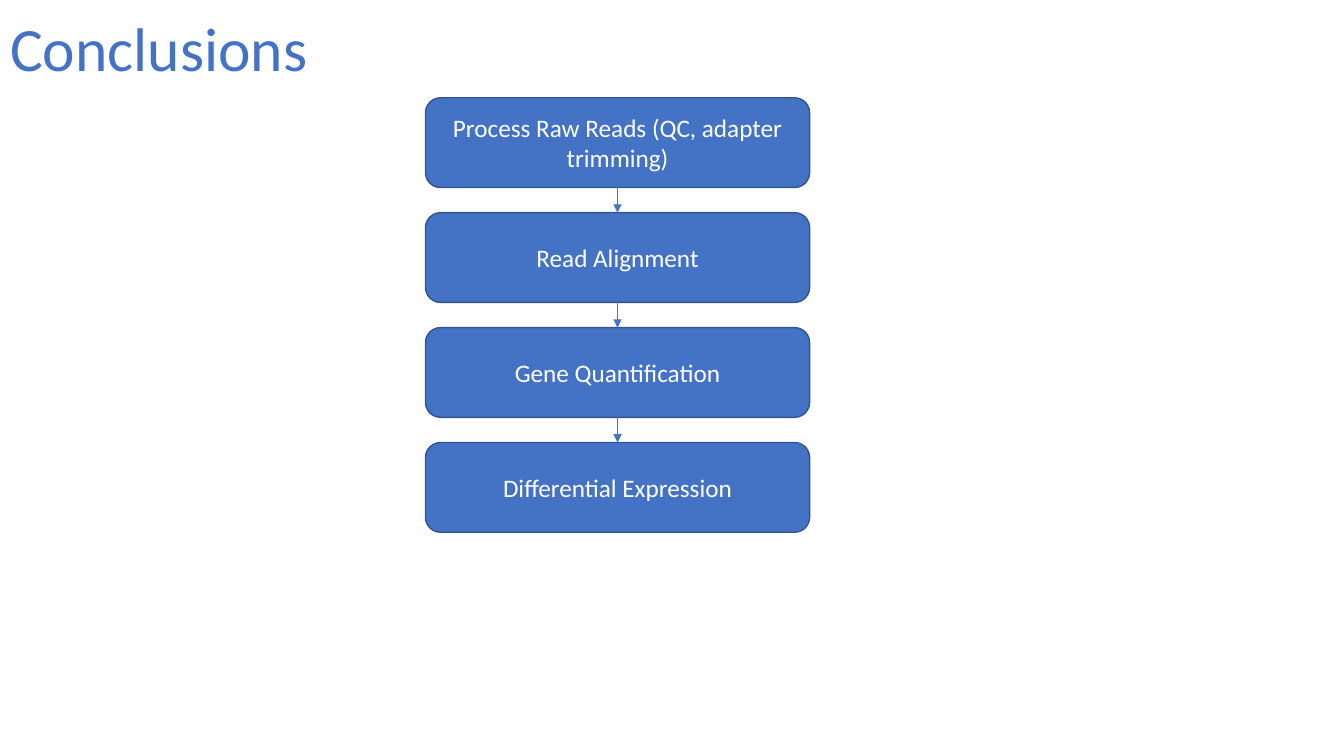
from lxml import etree
from pptx import Presentation
from pptx.dml.color import RGBColor
from pptx.enum.shapes import MSO_CONNECTOR, MSO_SHAPE
from pptx.enum.text import MSO_ANCHOR, MSO_AUTO_SIZE, PP_ALIGN
from pptx.oxml.ns import qn
from pptx.util import Inches, Pt

TITLE = "Conclusions"
STEPS = [
    "Process Raw Reads (QC, adapter trimming)",
    "Read Alignment",
    "Gene Quantification",
    "Differential Expression",
]
COLORS = {"blue": "4472C4", "edge": "325491", "white": "FFFFFF"}
FONT = "Calibri"
ROUNDED = MSO_SHAPE.ROUNDED_RECTANGLE
STRAIGHT = MSO_CONNECTOR.STRAIGHT
MIDDLE = MSO_ANCHOR.MIDDLE
LEFT, CENTER = PP_ALIGN.LEFT, PP_ALIGN.CENTER
NO_FIT = MSO_AUTO_SIZE.NONE
BOTTOM_SITE, TOP_SITE = 2, 0

STEP_LEFT, STEP_TOP = 4.22, 0.97
STEP_WIDTH, STEP_HEIGHT = 3.81, 0.89
STEP_PITCH = 1.14


def rgb(name):
    return RGBColor.from_string(COLORS[name])


def write(shape, text, size=18, color="white", align=CENTER, spacing=1.0):
    tf = shape.text_frame
    tf.word_wrap = True
    tf.auto_size = NO_FIT
    tf.vertical_anchor = MIDDLE
    p = tf.paragraphs[0]
    p.alignment = align
    p.line_spacing = spacing
    r = p.add_run()
    r.text = text
    r.font.name = FONT
    r.font.size = Pt(size)
    r.font.color.rgb = rgb(color)


def add_step(s, text, top):
    sp = s.shapes.add_shape(ROUNDED, Inches(STEP_LEFT), Inches(top),
                            Inches(STEP_WIDTH), Inches(STEP_HEIGHT))
    sp.shadow.inherit = False
    sp.fill.solid()
    sp.fill.fore_color.rgb = rgb("blue")
    sp.line.color.rgb = rgb("edge")
    sp.line.width = Pt(1)
    write(sp, text)
    return sp


def add_arrow(s, upper, lower):
    arrow = s.shapes.add_connector(STRAIGHT, 0, 0, 0, 0)
    arrow.begin_connect(upper, BOTTOM_SITE)
    arrow.end_connect(lower, TOP_SITE)
    arrow.line.color.rgb = rgb("blue")
    arrow.line.width = Pt(0.5)
    ln = arrow.line._get_or_add_ln()
    etree.SubElement(ln, qn("a:tailEnd"), type="triangle")
    etree.SubElement(arrow._element.spPr, qn("a:effectLst"))


def main():
    prs = Presentation()
    prs.slide_width, prs.slide_height = Inches(13.33), Inches(7.5)
    s = prs.slides.add_slide(prs.slide_layouts[5])

    title = s.shapes.title
    title.left, title.top = Inches(0), Inches(0.05)
    title.width, title.height = Inches(11.5), Inches(0.92)
    write(title, TITLE, size=44, color="blue", align=LEFT, spacing=0.9)

    steps = [add_step(s, text, STEP_TOP + i * STEP_PITCH)
             for i, text in enumerate(STEPS)]
    for upper, lower in zip(steps, steps[1:]):
        add_arrow(s, upper, lower)

    prs.save("out.pptx")


if __name__ == "__main__":
    main()
